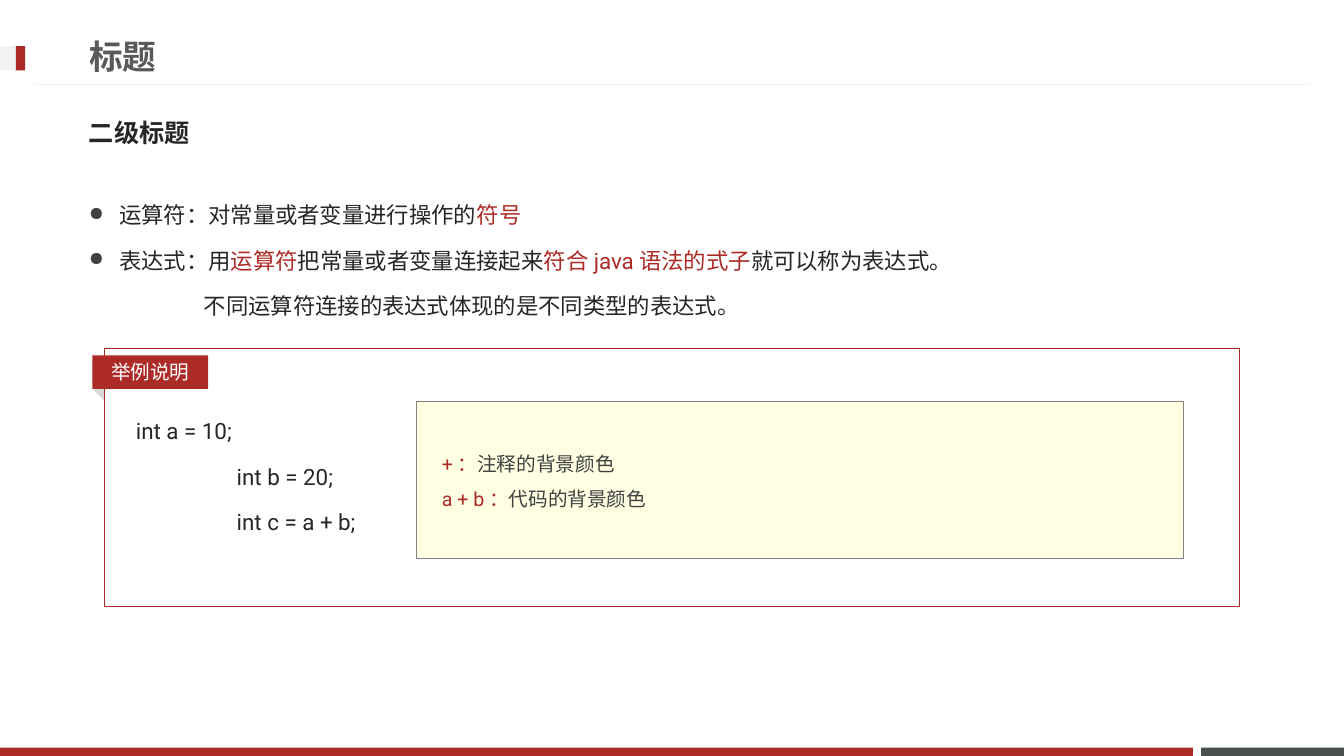
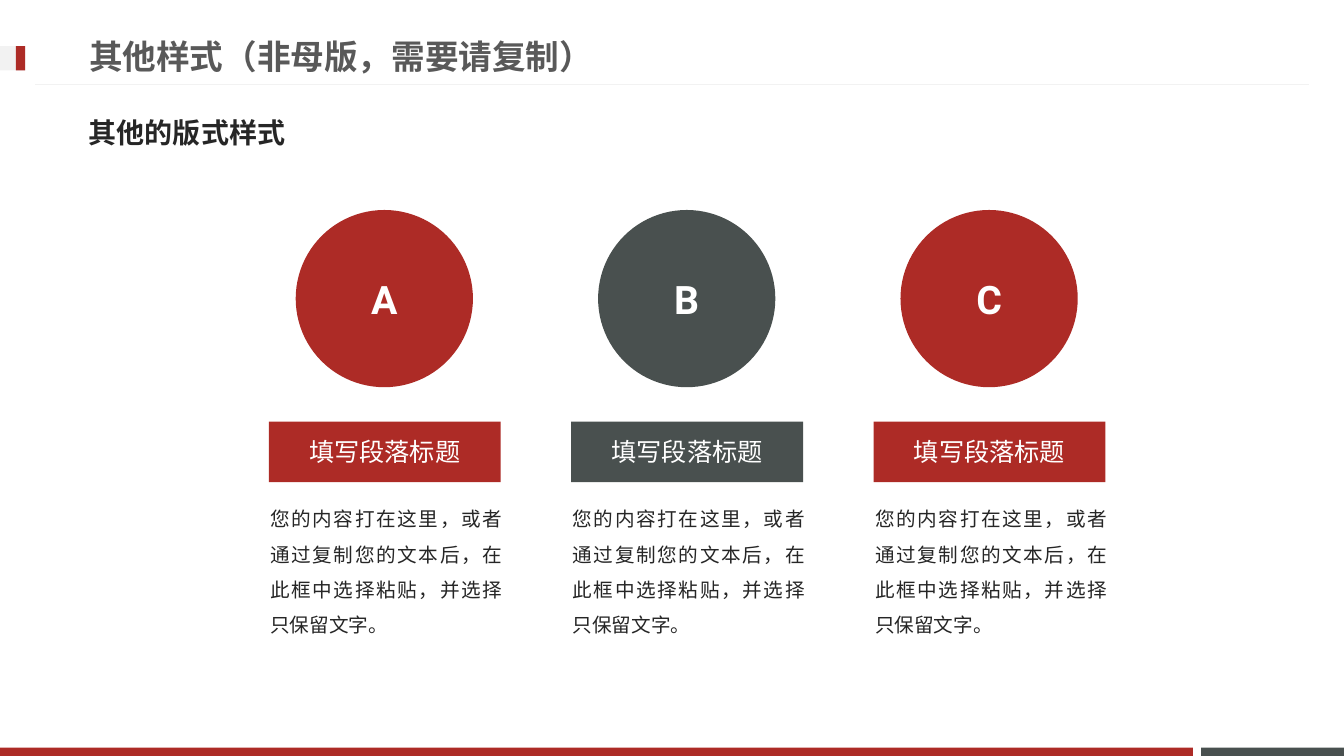
from dataclasses import dataclass

from lxml.etree import SubElement
from pptx import Presentation
from pptx.dml.color import RGBColor
from pptx.enum.shapes import MSO_CONNECTOR, MSO_SHAPE
from pptx.enum.text import MSO_ANCHOR, MSO_AUTO_SIZE, PP_ALIGN
from pptx.oxml.ns import qn
from pptx.util import Inches, Pt

SLIDE_WIDTH, SLIDE_HEIGHT = Inches(13.33), Inches(7.5)
COLUMNS, ROWS = 160, 90
RED, SLATE, PALE, WHITE = "AD2B26", "49504F", "F2F2F2", "FFFFFF"
INK, SOFT_INK, TITLE_GREY = "262626", "404040", "595959"
FONT, CJK_FONT = "Roboto", "Noto Sans CJK JP"


@dataclass
class Box:
    """An area counted in columns and rows of the slide grid."""
    left: float
    top: float
    width: float
    height: float

    def inside(self, left, top, width, height):
        return Box(self.left + left, self.top + top, width, height)

    def lengths(self):
        column, row = SLIDE_WIDTH / COLUMNS, SLIDE_HEIGHT / ROWS
        return (round(self.left * column), round(self.top * row),
                round(self.width * column), round(self.height * row))


TITLE_BOX = Box(9.4, 3.2, 115, 6.9)
SUBTITLE_BOX = Box(9.4, 12.4, 141, 6.8)
BODY_BOX = Box(9.4, 21.8, 141, 18)
EXAMPLE_BOX = Box(12.4, 41.5, 135.2, 30.7)
CARDS_BOX = Box(31, 25, 102, 52)


def rgb(color):
    return RGBColor.from_string(color)


def add_shape(page, kind, box, fill=None, line=None, weight=0.75):
    shape = page.shapes.add_shape(kind, *box.lengths())
    shape.shadow.inherit = False
    if fill:
        shape.fill.solid()
        shape.fill.fore_color.rgb = rgb(fill)
    else:
        shape.fill.background()
    if line:
        shape.line.color.rgb = rgb(line)
        shape.line.width = Pt(weight)
    else:
        shape.line.fill.background()
    return shape


def add_text_box(page, box, anchor=MSO_ANCHOR.TOP):
    frame = page.shapes.add_textbox(*box.lengths()).text_frame
    frame.word_wrap = True
    frame.vertical_anchor = anchor
    return frame


def add_bullet(properties):
    tint = SubElement(properties, qn("a:buClr"))
    SubElement(tint, qn("a:srgbClr"), val=SOFT_INK)
    SubElement(properties, qn("a:buSzPct"), val="85000")
    SubElement(properties, qn("a:buChar"), char="●")


def add_text(frame, *spans, size=14, color=INK, bold=False, font=FONT,
             align=PP_ALIGN.LEFT, leading=None, before=0, indent=0, bullet=False):
    """Add one paragraph; a span is a string or a (string, colour) pair."""
    para = frame.paragraphs[-1]
    if para.runs:
        para = frame.add_paragraph()
        para.space_before = Pt(before)
    para.alignment = align
    if leading:
        para.line_spacing = leading
    properties = para._p.get_or_add_pPr()
    if indent:
        properties.set("marL", str(Inches(indent)))
    if bullet:
        properties.set("indent", str(-Inches(indent)))
        add_bullet(properties)
    for span in spans:
        text, tint = (span, color) if isinstance(span, str) else span
        run = para.add_run()
        run.text = text
        run.font.size = Pt(size)
        run.font.bold = bold
        run.font.color.rgb = rgb(tint)
        run.font.name = font
        SubElement(run._r.get_or_add_rPr(), qn("a:ea"), typeface=font)


def add_label(page, kind, box, fill, text, **style):
    """A filled shape with white centred text."""
    frame = add_shape(page, kind, box, fill).text_frame
    frame.vertical_anchor = MSO_ANCHOR.MIDDLE
    frame.margin_left = frame.margin_right = 0
    add_text(frame, text, color=WHITE, align=PP_ALIGN.CENTER, **style)


def add_frame_marks(page):
    """The footer bands, title rule and title marker of every slide."""
    bands = [(Box(143, 89, 17, 1), SLATE), (Box(0, 89, 142, 1), RED),
             (Box(0, 5.5, 3, 2.9), PALE), (Box(1.9, 5.5, 1.1, 2.9), RED)]
    for box, fill in bands:
        add_shape(page, MSO_SHAPE.RECTANGLE, box, fill)
    left, top, width, _ = Box(4.2, 10.1, 151.6, 0).lengths()
    rule = page.shapes.add_connector(MSO_CONNECTOR.STRAIGHT, left, top, left + width, top)
    rule.line.color.rgb = rgb(PALE)
    rule.line.width = Pt(0.75)
    SubElement(rule._element.spPr, qn("a:effectLst"))


def add_page(deck, title, subtitle, **subtitle_style):
    page = deck.slides.add_slide(deck.slide_layouts[5])
    add_frame_marks(page)
    holder = page.shapes.title
    holder.left, holder.top, holder.width, holder.height = TITLE_BOX.lengths()
    frame = holder.text_frame
    frame.auto_size = MSO_AUTO_SIZE.NONE
    frame.word_wrap = True
    frame.vertical_anchor = MSO_ANCHOR.MIDDLE
    add_text(frame, title, size=24, color=TITLE_GREY, bold=True)
    add_text(add_text_box(page, SUBTITLE_BOX, MSO_ANCHOR.MIDDLE), subtitle,
             bold=True, **subtitle_style)
    return page


def add_definitions(page, box):
    frame = add_text_box(page, box)
    style = dict(size=16, leading=1.5, before=3.6)
    add_text(frame, "运算符：对常量或者变量进行操作的", ("符号", RED),
             indent=0.3, bullet=True, **style)
    add_text(frame, "表达式：用", ("运算符", RED), "把常量或者变量连接起来",
             ("符合java语法的式子", RED), "就可以称为表达式。",
             indent=0.3, bullet=True, **style)
    add_text(frame, "不同运算符连接的表达式体现的是不同类型的表达式。", indent=1.14, **style)


def add_example(page, box):
    note = add_shape(page, MSO_SHAPE.RECTANGLE, box.inside(37.2, 6.3, 91.3, 18.6),
                     "FFFFE4", "808080", 0.25).text_frame
    note.vertical_anchor = MSO_ANCHOR.MIDDLE
    note.margin_left, note.margin_bottom = Inches(0.25), Inches(0.13)
    for term, meaning in [("+：", "注释的背景颜色"), ("a + b：", "代码的背景颜色")]:
        add_text(note, (term, RED), meaning, color=SOFT_INK, leading=1.5)

    fold = add_shape(page, MSO_SHAPE.ISOSCELES_TRIANGLE,
                     box.inside(-1.2, 4.6, 1.9, 1.1), "D9D9D9")
    fold.rotation = 44.2
    add_shape(page, MSO_SHAPE.RECTANGLE, box, line=RED)
    add_label(page, MSO_SHAPE.RECTANGLE, box.inside(-1.4, 0.8, 13.8, 4), RED, "举例说明")

    code = add_text_box(page, box.inside(2.6, 6, 33, 21))
    for line, indent in [("int a = 10;", 0), ("int b = 20;", 1), ("int c = a + b;", 1)]:
        add_text(code, line, size=16, leading=1.5, before=3.6, indent=indent)


def add_card(page, box, letter, fill):
    add_label(page, MSO_SHAPE.OVAL, box.inside(4.2, 0, 21.1, 21.1), fill, letter,
              size=28, bold=True)
    add_label(page, MSO_SHAPE.RECTANGLE, box.inside(1, 25.2, 27.6, 7.2), fill,
              "填写段落标题", size=18)
    add_text(add_text_box(page, box.inside(0, 33.4, box.width, 17.8)),
             "您的内容打在这里，或者通过复制您的文本后，在此框中选择粘贴，并选择只保留文字。",
             align=PP_ALIGN.JUSTIFY, leading=1.5)


def add_cards(page, box):
    cards = [("A", RED), ("B", SLATE), ("C", RED)]
    card_width = 30
    pitch = (box.width - card_width) / (len(cards) - 1)
    for index, (letter, fill) in enumerate(cards):
        add_card(page, box.inside(index * pitch, 0, card_width, box.height), letter, fill)


def main():
    deck = Presentation()
    deck.slide_width, deck.slide_height = SLIDE_WIDTH, SLIDE_HEIGHT
    page = add_page(deck, "标题", "二级标题", size=18, font=CJK_FONT)
    add_definitions(page, BODY_BOX)
    add_example(page, EXAMPLE_BOX)
    page = add_page(deck, "其他样式（非母版，需要请复制）", "其他的版式样式", size=20)
    add_cards(page, CARDS_BOX)
    deck.save("out.pptx")


if __name__ == "__main__":
    main()
